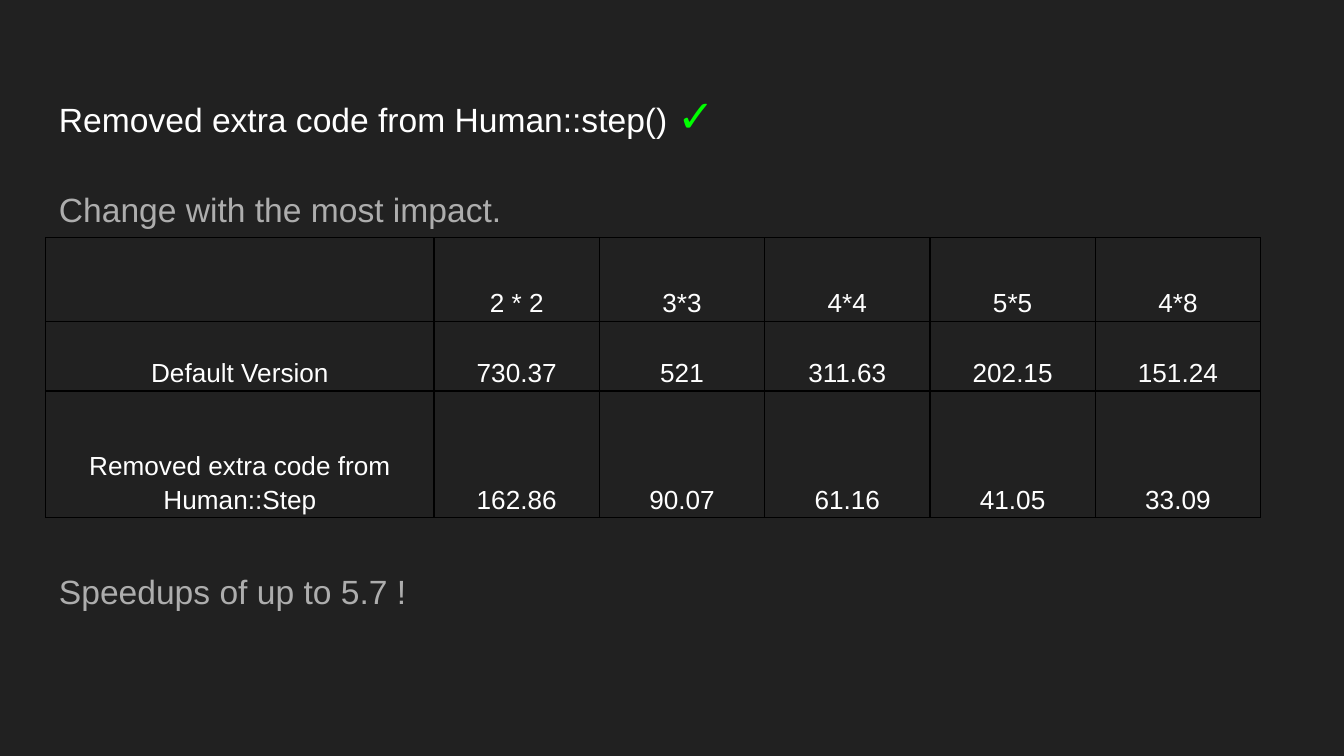
from lxml import etree
from pptx import Presentation
from pptx import util as u
from pptx.dml.color import RGBColor
from pptx.enum import text
from pptx.oxml.ns import qn

HEADING = ("Removed extra code from Human::step() ", "✓")
REMARKS = ("Change with the most impact.", "Speedups of up to 5.7 !")
TIMINGS = [
    ("", "2 * 2", "3*3", "4*4", "5*5", "4*8"),
    ("Default Version", "730.37", "521", "311.63", "202.15", "151.24"),
    ("Removed extra code from Human::Step",
     "162.86", "90.07", "61.16", "41.05", "33.09"),
]

THEME = {
    "font": "Arial", "back": "212121", "bright": "FFFFFF", "muted": "ADADAD",
    "tick": "00FF00", "grid": "000000",
    "body_pt": 18, "tick_pt": 24, "cell_pt": 14, "grid_pt": 0.75,
    "line_spacing": 1.15, "after_pt": 16,
}
SLIDE_WIDTH = 10
SLIDE_HEIGHT = SLIDE_WIDTH * 9 / 16
LEFT, WIDTH = 0.34, 9.32
LABEL_WIDTH, TIMING_WIDTH = 2.89, 1.23
ROW_HEIGHTS = (0.62, 0.52, 0.94)
TABLE_TOP = 1.77
TABLE_GAP_PT = 164


def style(run, size, color):
    """Set the font, size and colour of a run."""
    run.font.name = THEME["font"]
    run.font.size = u.Pt(THEME[size])
    run.font.color.rgb = RGBColor.from_string(THEME[color])


def add_text(slide, top, height):
    """Add a wrapping text box across the content width."""
    frame = slide.shapes.add_textbox(
        *map(u.Inches, (LEFT, top, WIDTH, height))).text_frame
    frame.word_wrap = True
    frame.margin_left = frame.margin_right = u.Inches(0.1)
    frame.margin_top = frame.margin_bottom = u.Inches(0.1)
    return frame


def space(paragraph):
    """Apply the common line and paragraph spacing."""
    paragraph.line_spacing = THEME["line_spacing"]
    paragraph.space_after = u.Pt(THEME["after_pt"])


def add_borders(cell):
    """Draw a thin line on every side of a cell."""
    properties = cell._tc.get_or_add_tcPr()
    for index, side in enumerate(("a:lnL", "a:lnR", "a:lnT", "a:lnB")):
        line = etree.Element(qn(side), w=str(u.Pt(THEME["grid_pt"])))
        fill = etree.SubElement(line, qn("a:solidFill"))
        etree.SubElement(fill, qn("a:srgbClr"), val=THEME["grid"])
        properties.insert(index, line)


def fill_cell(cell, value):
    """Write one bottom-aligned, centred table entry."""
    cell.fill.background()
    add_borders(cell)
    cell.vertical_anchor = text.MSO_ANCHOR.BOTTOM
    cell.margin_left = cell.margin_right = u.Inches(0.03)
    cell.margin_top = cell.margin_bottom = u.Inches(0.02)
    cell.text_frame.text = value
    entry = cell.text_frame.paragraphs[0]
    entry.alignment = text.PP_ALIGN.CENTER
    entry.line_spacing = THEME["line_spacing"]
    for run in entry.runs:
        style(run, "cell_pt", "bright")


def add_timings(slide):
    """Add the table of timings."""
    widths = [LABEL_WIDTH] + [TIMING_WIDTH] * (len(TIMINGS[0]) - 1)
    table = slide.shapes.add_table(
        len(TIMINGS), len(widths),
        *map(u.Inches, (LEFT, TABLE_TOP, sum(widths), sum(ROW_HEIGHTS)))).table
    table.first_row = table.horz_banding = False
    for column, width in zip(table.columns, widths):
        column.width = u.Inches(width)
    for row, height, values in zip(table.rows, ROW_HEIGHTS, TIMINGS):
        row.height = u.Inches(height)
        for cell, value in zip(row.cells, values):
            fill_cell(cell, value)


def build():
    """Build and save the slide."""
    deck = Presentation()
    deck.slide_width = u.Inches(SLIDE_WIDTH)
    deck.slide_height = u.Inches(SLIDE_HEIGHT)
    slide = deck.slides.add_slide(deck.slide_layouts[6])
    slide.background.fill.solid()
    slide.background.fill.fore_color.rgb = RGBColor.from_string(THEME["back"])

    heading = add_text(slide, 0.49, 0.63).paragraphs[0]
    space(heading)
    looks = (("body_pt", "bright"), ("tick_pt", "tick"))
    for words, look in zip(HEADING, looks):
        run = heading.add_run()
        run.text = words
        style(run, *look)

    remarks = add_text(slide, 1.26, 3.74)
    remarks.text = "\n".join(REMARKS)
    for remark in remarks.paragraphs:
        space(remark)
        style(remark.runs[0], "body_pt", "muted")
    remarks.paragraphs[-1].space_before = u.Pt(TABLE_GAP_PT)

    add_timings(slide)
    deck.save("out.pptx")


build()
